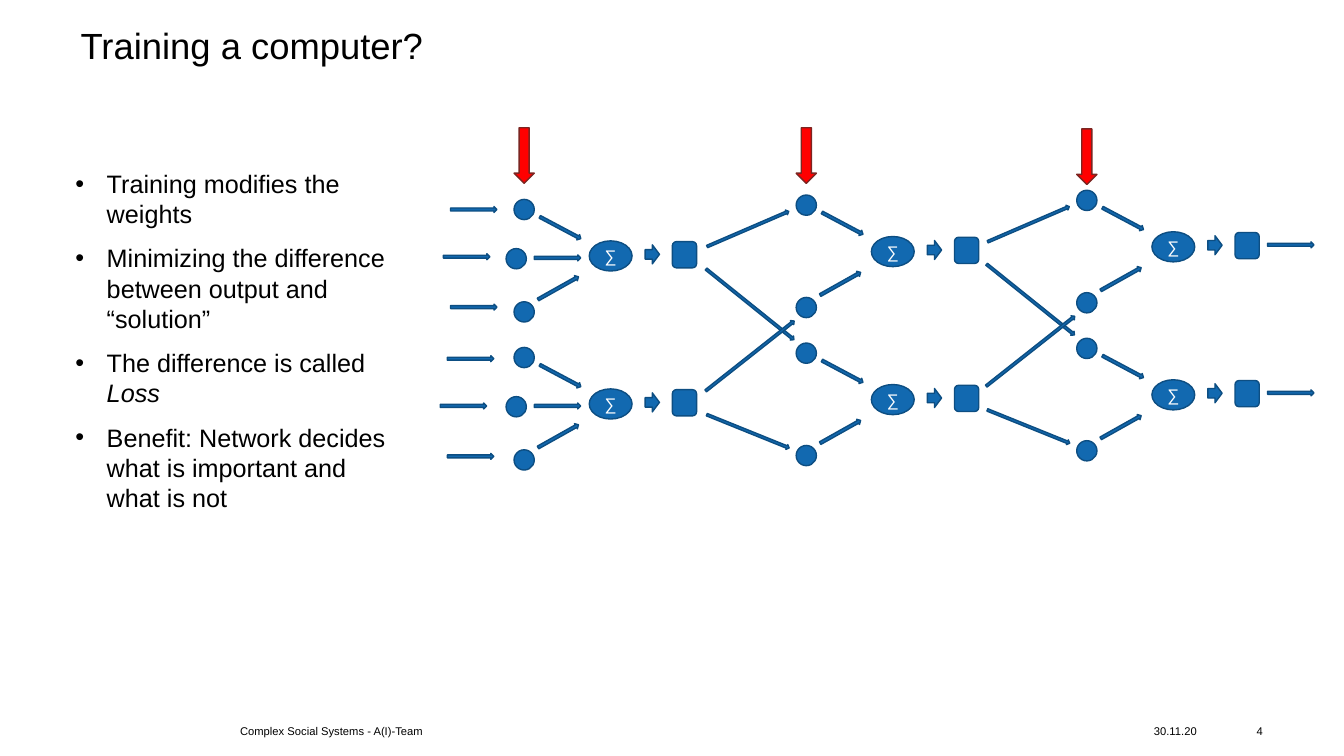
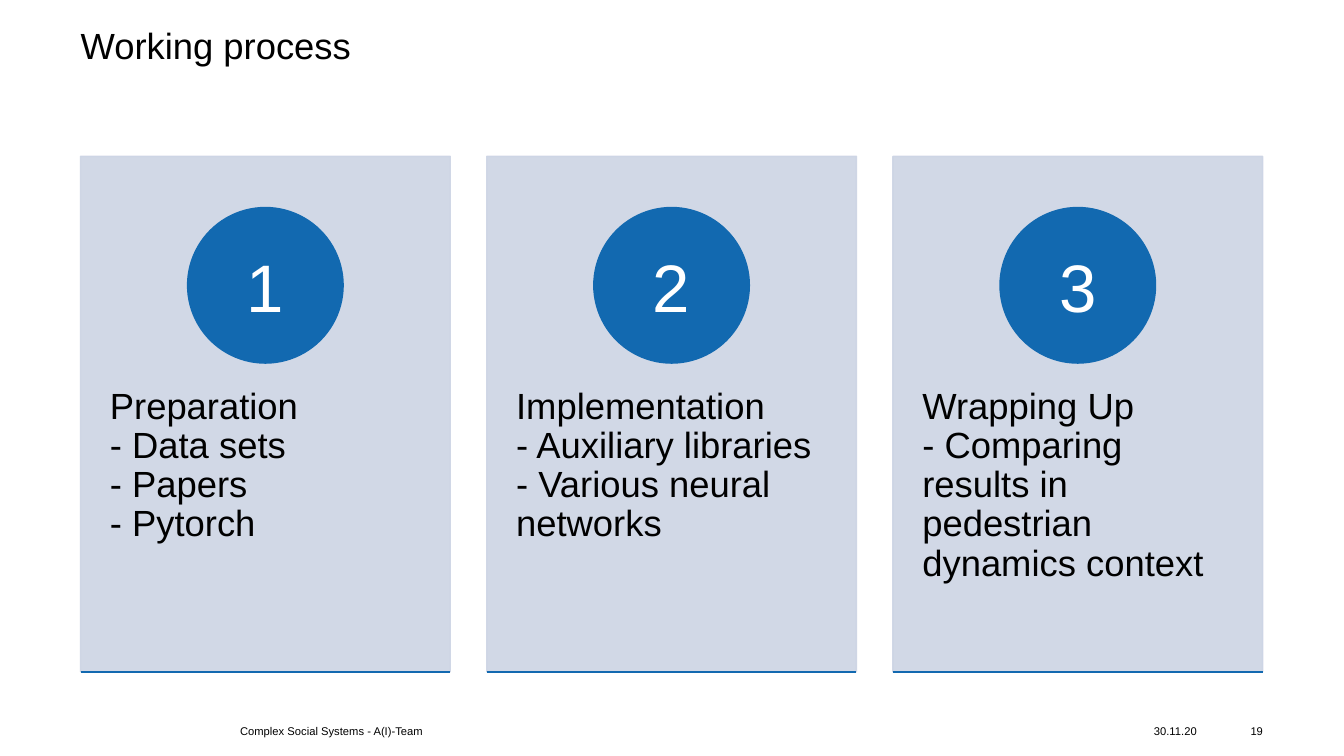
"""Build two slides: a neural network in training and a three-step working process."""
import dataclasses
import typing

import lxml.etree
import pptx
import pptx.dml.color
import pptx.enum.shapes
import pptx.enum.text
import pptx.oxml.ns
import pptx.oxml.xmlchemy
import pptx.shapes.autoshape
import pptx.slide
import pptx.text.text
import pptx.util

Cm = pptx.util.Cm
Pt = pptx.util.Pt
ShapeType = pptx.enum.shapes.MSO_SHAPE
Align = pptx.enum.text.PP_ALIGN
Anchor = pptx.enum.text.MSO_ANCHOR
qn = pptx.oxml.ns.qn

FONT = "Arial"
COLORS = {
    "text": "000000",
    "light": "FFFFFF",
    "blue": "1269B0",
    "blue_edge": "0D4E82",
    "red": "FF0000",
    "red_edge": "7C2521",
    "card": "CCD4E4",
}
MARGIN = 2.03
CONTENT_WIDTH = 29.79
UNIT_PITCH = 3.73


@dataclasses.dataclass(frozen=True)
class Part:
    """A network symbol, with its centre relative to an anchor point."""

    kind: typing.Any
    x: float
    y: float
    width: float
    height: float
    rotation: float = 0
    text: str = ""


@dataclasses.dataclass(frozen=True)
class Layer:
    """A network layer, placed by the centre of its first weight."""

    x: float
    y: float
    marker_y: float


@dataclasses.dataclass(frozen=True)
class Step:
    """A card of the working process."""

    number: int
    lines: tuple[str, ...]


def weight(x: float, y: float) -> Part:
    return Part(ShapeType.OVAL, x, y, 0.51, 0.51)


def arrow(x: float, y: float, rotation: float = 0, length: float = 1.17, height: float = 0.15) -> Part:
    return Part(ShapeType.RIGHT_ARROW, x, y, length, height, rotation)


LAYERS = (Layer(13.21, 5.28, 3.92), Layer(20.32, 5.17, 3.92), Layer(27.39, 5.05, 3.95))
UNIT = (
    Part(ShapeType.OVAL, 2.18, 1.17, 1.08, 0.76, text="∑"),
    Part(ShapeType.ROUNDED_RECTANGLE, 4.04, 1.14, 0.61, 0.66),
    arrow(0.91, 0.46, 28),
    arrow(0.86, 1.98, 330.7),
    arrow(3.23, 1.13, length=0.36, height=0.48),
    weight(0, 0),
    weight(0, 2.58),
)
MIDDLE_INPUT = (weight(-0.2, 1.24), arrow(0.84, 1.22))
INPUTS = (arrow(-1.27, 0), arrow(-1.45, 1.19), arrow(-1.27, 2.46))
OUTPUT = (arrow(5.14, 1.12),)
LINKS = (
    arrow(-1.47, 0.6, 336.7, 2.24, 0.13),
    arrow(-1.42, 2.5, 38.8, 2.84, 0.13),
    arrow(-1.47, 5.7, 22, 2.24, 0.13),
    arrow(-1.42, 3.8, 321.7, 2.84, 0.13),
)
MARKER = Part(ShapeType.DOWN_ARROW, 0, 0, 0.51, 1.4)

BULLETS = (
    (("Training modifies the weights", False),),
    (("Minimizing the difference between output and “solution”", False),),
    (("The difference is called ", False), ("Loss", True)),
    (("Benefit: Network decides what is important and what is not", False),),
)
STEPS = (
    Step(1, ("Preparation", "- Data sets", "- Papers", "- Pytorch")),
    Step(2, ("Implementation", "- Auxiliary libraries", "- Various neural networks")),
    Step(3, ("Wrapping Up", "- Comparing results in pedestrian dynamics context")),
)


def rgb(name: str) -> pptx.dml.color.RGBColor:
    return pptx.dml.color.RGBColor.from_string(COLORS[name])


def set_font(paragraph: pptx.text.text._Paragraph, size: float, color: str = "text") -> None:
    paragraph.font.name = FONT
    paragraph.font.size = Pt(size)
    paragraph.font.color.rgb = rgb(color)


def place(shape: typing.Any, left: float, top: float, width: float, height: float) -> None:
    shape.left, shape.top = Cm(left), Cm(top)
    shape.width, shape.height = Cm(width), Cm(height)


def set_frame(
    frame: pptx.text.text.TextFrame, anchor: typing.Any = Anchor.TOP,
    inset_x: float = 0, inset_y: float = 0,
) -> None:
    frame.word_wrap = True
    frame.auto_size = pptx.enum.text.MSO_AUTO_SIZE.NONE
    frame.vertical_anchor = anchor
    frame.margin_left = frame.margin_right = Cm(inset_x)
    frame.margin_top = frame.margin_bottom = Cm(inset_y)


def add_label(
    slide: pptx.slide.Slide, text: str, left: float, top: float, width: float, height: float,
    size: float, align: typing.Any = Align.LEFT, anchor: typing.Any = Anchor.MIDDLE,
    inset_x: float = 0, inset_y: float = 0, spacing: float = 1.0,
) -> None:
    box = slide.shapes.add_textbox(Cm(left), Cm(top), Cm(width), Cm(height))
    set_frame(box.text_frame, anchor, inset_x, inset_y)
    paragraph = box.text_frame.paragraphs[0]
    paragraph.text = text
    paragraph.alignment = align
    paragraph.line_spacing = spacing
    set_font(paragraph, size)


def add_figure(
    slide: pptx.slide.Slide, kind: typing.Any, left: float, top: float, width: float, height: float,
    fill: str, edge: str, text: str = "", size: float = 12,
) -> pptx.shapes.autoshape.Shape:
    shape = slide.shapes.add_shape(kind, Cm(left), Cm(top), Cm(width), Cm(height))
    shape.shadow.inherit = False
    shape.fill.solid()
    shape.fill.fore_color.rgb = rgb(fill)
    shape.line.color.rgb = rgb(edge)
    shape.line.width = Pt(1)
    if text:
        set_frame(shape.text_frame, Anchor.MIDDLE)
        shape.text_frame.word_wrap = False
        paragraph = shape.text_frame.paragraphs[0]
        paragraph.text = text
        paragraph.alignment = Align.CENTER
        set_font(paragraph, size, "light")
    return shape


def add_part(
    slide: pptx.slide.Slide, part: Part, x: float, y: float,
    fill: str = "blue", edge: str = "blue_edge",
) -> None:
    left = x + part.x - part.width / 2
    top = y + part.y - part.height / 2
    shape = add_figure(slide, part.kind, left, top, part.width, part.height, fill, edge, part.text)
    shape.rotation = part.rotation


def add_parts(slide: pptx.slide.Slide, parts: typing.Iterable[Part], x: float, y: float) -> None:
    for part in parts:
        add_part(slide, part, x, y)


def start_slide(
    presentation: typing.Any, layout: int, title: str, number: int,
) -> pptx.slide.Slide:
    slide = presentation.slides.add_slide(presentation.slide_layouts[layout])
    heading = slide.shapes.title
    place(heading, MARGIN, 0.71, CONTENT_WIDTH, 2.49)
    set_frame(heading.text_frame)
    paragraph = heading.text_frame.paragraphs[0]
    paragraph.text = title
    paragraph.alignment = Align.LEFT
    paragraph.line_spacing = 0.9
    set_font(paragraph, 26)
    add_label(slide, "Complex Social Systems - A(I)-Team", 6.05, 18.11, 15.01, 0.61, 8)
    add_label(slide, "30.11.20", 29.08, 18.11, 1.7, 0.61, 8)
    add_label(slide, str(number), 30.94, 18.11, 0.89, 0.61, 8, Align.RIGHT)
    return slide


def fill_bullets(slide: pptx.slide.Slide) -> None:
    body = slide.placeholders[1]
    place(body, 1.9, 4.24, 7.98, 13.34)
    frame = body.text_frame
    set_frame(frame)
    for index, runs in enumerate(BULLETS):
        paragraph = frame.add_paragraph() if index else frame.paragraphs[0]
        paragraph.space_before = Pt(10 if index else 0)
        properties = paragraph._p.get_or_add_pPr()
        properties.set("marL", str(Cm(0.79)))
        properties.set("indent", str(Cm(-0.79)))
        lxml.etree.SubElement(properties, qn("a:buFont")).set("typeface", FONT)
        lxml.etree.SubElement(properties, qn("a:buChar")).set("char", "•")
        set_font(paragraph, 18)
        for text, italic in runs:
            run = paragraph.add_run()
            run.text = text
            if italic:
                run.font.italic = True


def build_network(slide: pptx.slide.Slide) -> None:
    for index, layer in enumerate(LAYERS):
        add_part(slide, MARKER, layer.x, layer.marker_y, "red", "red_edge")
        for row in range(2):
            top = layer.y + row * UNIT_PITCH
            add_parts(slide, UNIT, layer.x, top)
            if index == 0:
                add_parts(slide, MIDDLE_INPUT, layer.x, top)
                add_parts(slide, INPUTS, layer.x - 0.08 * row, top + 0.03 * row)
            if index == len(LAYERS) - 1:
                add_parts(slide, OUTPUT, layer.x, top)
        if index:
            add_parts(slide, LINKS, layer.x, layer.y)


def add_step(slide: pptx.slide.Slide, step: Step, left: float, width: float) -> None:
    top, height, diameter = 3.94, 12.99, 3.92
    card = add_figure(slide, ShapeType.RECTANGLE, left, top, width, height, "card", "card")
    for color in card._element.spPr.iter(qn("a:srgbClr")):
        lxml.etree.SubElement(color, qn("a:alpha")).set("val", "90000")
    add_label(slide, "\v".join(step.lines), left, 8.86, width, 7.8, 26,
              anchor=Anchor.TOP, inset_x=0.74, inset_y=0.91, spacing=0.9)
    add_figure(slide, ShapeType.OVAL, left + (width - diameter) / 2, 5.23, diameter, diameter,
               "blue", "blue", str(step.number), 48)
    bottom = Cm(top + height)
    rule = slide.shapes.add_connector(
        pptx.enum.shapes.MSO_CONNECTOR.STRAIGHT, Cm(left), bottom, Cm(left + width), bottom)
    rule.line.color.rgb = rgb("blue")
    rule.line.width = Pt(1)
    lxml.etree.SubElement(rule._element.spPr, qn("a:effectLst"))


def build_process(slide: pptx.slide.Slide) -> None:
    gap = 0.92
    width = (CONTENT_WIDTH - gap * (len(STEPS) - 1)) / len(STEPS)
    for index, step in enumerate(STEPS):
        add_step(slide, step, MARGIN + index * (width + gap), width)


def main() -> None:
    presentation = pptx.Presentation()
    presentation.slide_width = Cm(33.87)
    presentation.slide_height = Cm(19.05)
    training = start_slide(presentation, 1, "Training a computer?", 4)
    fill_bullets(training)
    build_network(training)
    build_process(start_slide(presentation, 5, "Working process", 19))
    presentation.save("out.pptx")


if __name__ == "__main__":
    main()
